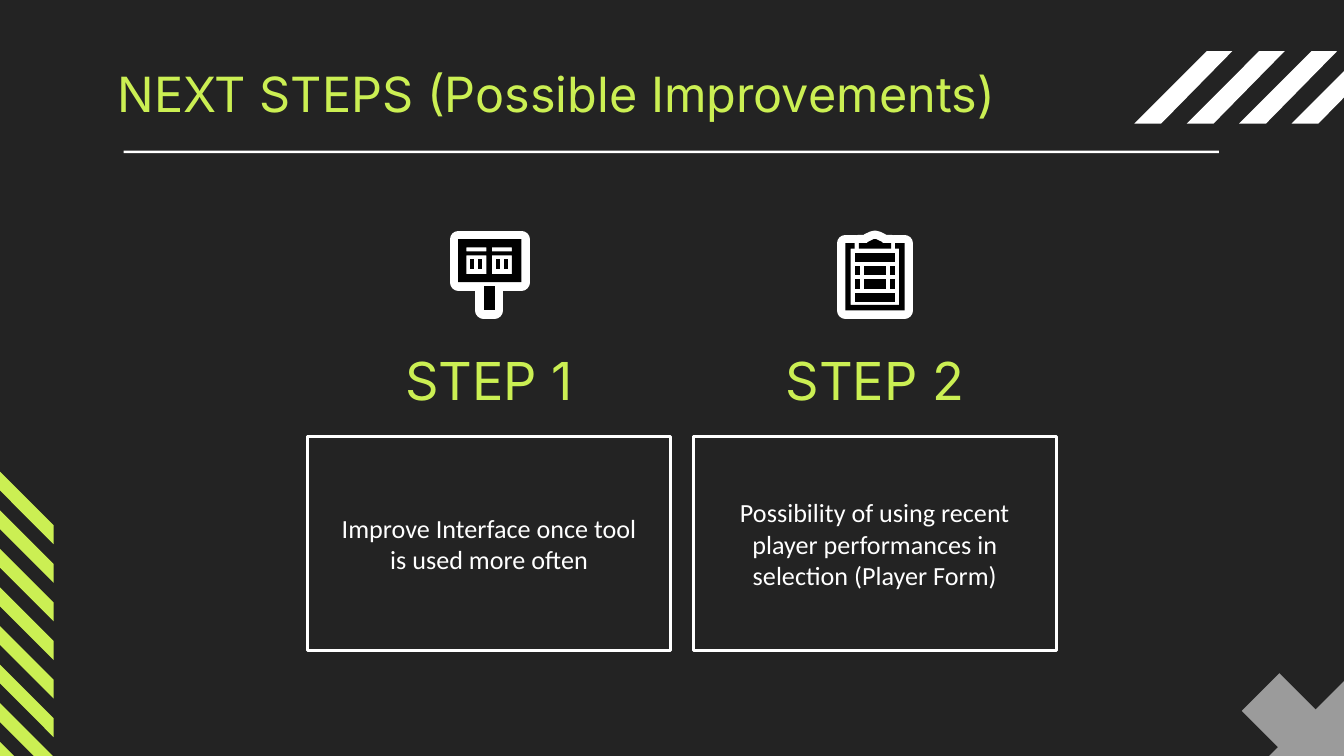
from pptx import Presentation
from pptx.dml.color import RGBColor
from pptx.enum.shapes import MSO_SHAPE
from pptx.enum.text import MSO_ANCHOR, PP_ALIGN
from pptx.util import Inches, Pt

WIDTH = 10
DARK, LIME, WHITE, GREY, BLACK = "232323", "CBEF53", "FFFFFF", "9B9B9B", "000000"

TITLE = "NEXT STEPS (Possible Improvements)"
FIRST_CENTRE, PITCH = 3.64, 2.87
ICON_TOP, STEP_TOP, BOX_TOP = 1.78, 2.53, 3.25
BOX_W, BOX_H = 2.7, 1.59
BODY_W, BODY_H = 2.5, 1.2


def box(x, y, w, h):
    """Corner points of a rectangle."""
    return [(x, y), (x, y + h), (x + w, y + h), (x + w, y)]


def mirrored(half):
    """Close a left-hand outline with its reflection about x = 0."""
    return half + [(-x, y) for x, y in reversed(half)]


# Each icon is a list of outlines, each outline a list of contours,
# measured from the column centre and the icon's top.
SIGN = [[box(x, 0.15, 0.03, 0.07)] for x in (-0.14, -0.08, 0.05, 0.11)]
SIGN += [
    [box(-0.04, 0.35, 0.08, 0.18)],
    [box(x, y, 0.15, h) for y, h in ((0.06, 0.03), (0.12, 0.14)) for x in (-0.17, 0.02)]
    + [box(-0.23, 0, 0.47, 0.32)],
]

CLIPBOARD = [[box(-0.15, y, 0.3, 0.07)] for y in (0.1, 0.4)]
CLIPBOARD += [[box(x, y, w, 0.07)] for y in (0.2, 0.3)
              for x, w in ((-0.15, 0.04), (-0.08, 0.16), (0.11, 0.04))]
CLIPBOARD += [
    [mirrored([(-0.18, 0.49), (-0.18, 0.07), (-0.15, 0.07), (-0.15, 0.03),
               (-0.22, 0.03), (-0.22, 0.53)])[::-1]],
    [mirrored([(-0.12, 0.07), (-0.12, 0.03), (-0.06, 0.03), (-0.05, 0.02),
               (-0.03, 0.01), (-0.01, 0)])],
]

STEPS = [
    ("STEP 1", "Improve Interface once tool is used more often", SIGN),
    ("STEP 2", "Possibility of using recent player performances in selection (Player Form)",
     CLIPBOARD),
]

CORNER_STRIPE = [(0.54, 0), (0, 0.54), (0.2, 0.54), (0.73, 0)]
SIDE_STRIPE = [(0, 0), (0, 0.14), (0.4, 0.54), (0.4, 0.4)]
CROSS_ARM = [(0.82, 0), (0, 0.82), (0.28, 1.1), (1.1, 0.28)]
CROSS = [CROSS_ARM, [(1.1 - x, y) for x, y in CROSS_ARM]]


def rgb(colour):
    return RGBColor.from_string(colour)


def paint(sp, fill=None, line=None, weight=1.5):
    sp.shadow.inherit = False
    if fill:
        sp.fill.solid()
        sp.fill.fore_color.rgb = rgb(fill)
    else:
        sp.fill.background()
    if line:
        sp.line.color.rgb = rgb(line)
        sp.line.width = Pt(weight)
    else:
        sp.line.fill.background()


def add_outline(shapes, x, y, contours, fill, line=None, weight=1.5):
    """Draw one freeform whose contours are offset by (x, y) inches."""
    moved = [[(Inches(x + dx), Inches(y + dy)) for dx, dy in c] for c in contours]
    builder = shapes.build_freeform(*moved[0][0])
    for i, points in enumerate(moved):
        if i:
            builder.move_to(*points[0])
        builder.add_line_segments(points[1:], close=True)
    paint(builder.convert_to_shape(), fill, line, weight)


def add_rect(s, x, y, w, h, **style):
    sp = s.shapes.add_shape(MSO_SHAPE.RECTANGLE, Inches(x), Inches(y), Inches(w), Inches(h))
    paint(sp, **style)


def add_text(s, x, y, w, h, text, font, size, colour,
             align=PP_ALIGN.CENTER, anchor=MSO_ANCHOR.MIDDLE):
    tf = s.shapes.add_textbox(Inches(x), Inches(y), Inches(w), Inches(h)).text_frame
    tf.word_wrap = True
    tf.vertical_anchor = anchor
    tf.margin_left = tf.margin_right = tf.margin_top = tf.margin_bottom = Inches(0.1)
    p = tf.paragraphs[0]
    p.text = text
    p.alignment = align
    f = p.runs[0].font
    f.name, f.size, f.color.rgb = font, Pt(size), rgb(colour)


def add_decoration(s):
    corner = s.shapes.add_group_shape().shapes
    for i in range(4):
        add_outline(corner, 8.44 + 0.39 * i, 0.38, [CORNER_STRIPE], WHITE)
    cross = s.shapes.add_group_shape().shapes
    for arm in CROSS:
        add_outline(cross, 9.24, 5.01, [arm], GREY)
    side = s.shapes.add_group_shape().shapes
    for i in range(8):
        add_outline(side, 0, 3.51 + 2.01 * i / 7, [SIDE_STRIPE], LIME)
    add_rect(s, 0.92, 1.12, 8.15, 0.02, fill=WHITE)


def add_icon(s, centre, outlines):
    """A black icon over a white halo made by a thick outline."""
    icon = s.shapes.add_group_shape().shapes
    for fill, line in ((WHITE, WHITE), (BLACK, None)):
        for contours in outlines:
            add_outline(icon, centre, ICON_TOP, contours, fill, line, 9)


def add_step(s, centre, name, body, outlines):
    add_rect(s, centre - BOX_W / 2, BOX_TOP, BOX_W, BOX_H, line=WHITE)
    add_text(s, centre - 1.19, STEP_TOP, 2.38, 0.59, name, "Inter", 28, LIME)
    add_text(s, centre - BODY_W / 2, BOX_TOP + (BOX_H - BODY_H) / 2, BODY_W, BODY_H,
             body, "Calibri", 14, WHITE)
    add_icon(s, centre, outlines)


def main():
    prs = Presentation()
    prs.slide_width, prs.slide_height = Inches(WIDTH), Inches(WIDTH * 9 / 16)
    s = prs.slides.add_slide(prs.slide_layouts[6])
    s.background.fill.solid()
    s.background.fill.fore_color.rgb = rgb(DARK)

    add_decoration(s)
    add_text(s, 0.78, 0.38, 8.44, 0.67, TITLE, "Inter", 26, LIME,
             PP_ALIGN.LEFT, MSO_ANCHOR.TOP)
    for i, step in enumerate(STEPS):
        add_step(s, FIRST_CENTRE + PITCH * i, *step)
    prs.save("out.pptx")


if __name__ == "__main__":
    main()
